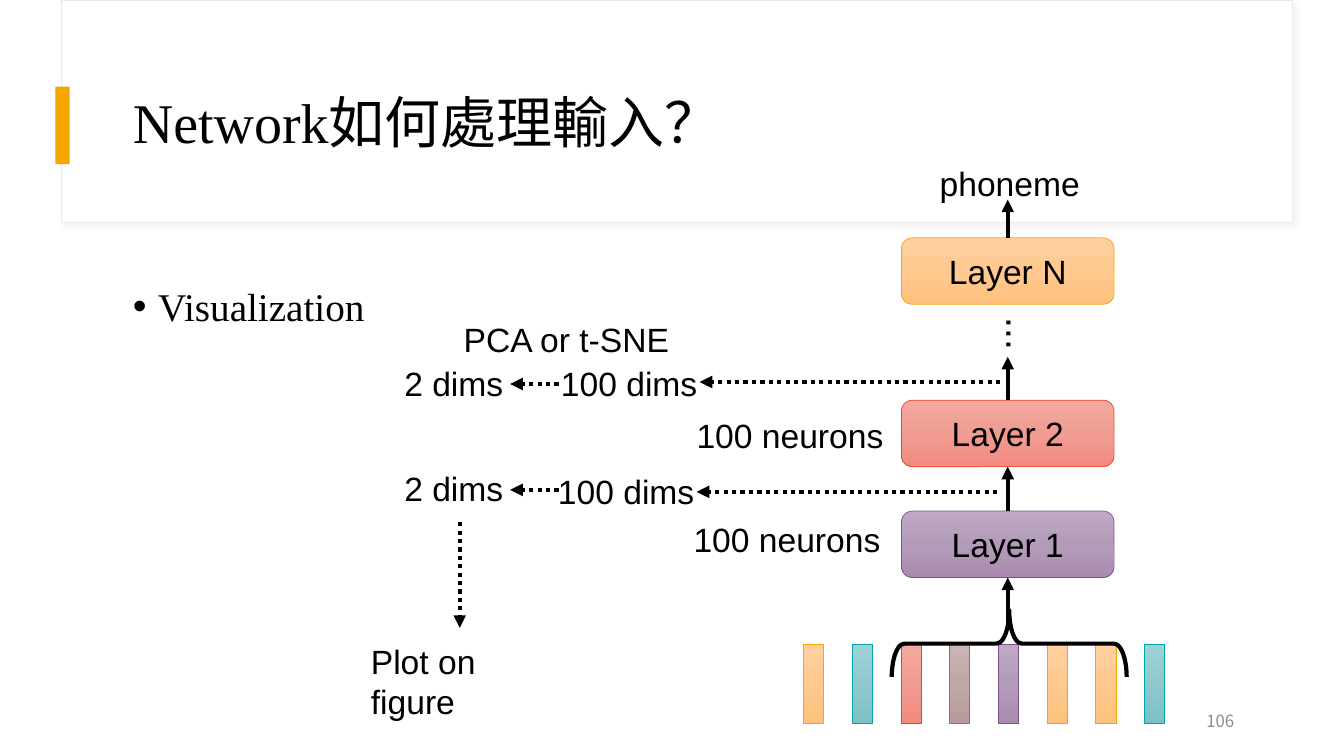
from copy import deepcopy

from lxml import etree
from pptx import Presentation
from pptx.dml.color import RGBColor
from pptx.enum.dml import MSO_LINE
from pptx.enum.shapes import MSO_CONNECTOR, MSO_SHAPE
from pptx.enum.text import MSO_ANCHOR, MSO_AUTO_SIZE, PP_ALIGN
from pptx.oxml.ns import qn
from pptx.util import Inches, Pt

RECT = MSO_SHAPE.RECTANGLE
ROUNDED = MSO_SHAPE.ROUNDED_RECTANGLE
BRACE = MSO_SHAPE.RIGHT_BRACE
STRAIGHT = MSO_CONNECTOR.STRAIGHT
DOTTED = MSO_LINE.ROUND_DOT
LEFT, CENTER, RIGHT = PP_ALIGN.LEFT, PP_ALIGN.CENTER, PP_ALIGN.RIGHT
TOP, MIDDLE = MSO_ANCHOR.TOP, MSO_ANCHOR.MIDDLE
SIDE_TOP, SIDE_BOTTOM = 0, 2

SANS, SERIF, CJK = "Arial", "Times New Roman", "Noto Sans CJK TC"
COLORS = {"white": "FFFFFF", "black": "000000", "frame": "E9E9E9",
          "shadow": "D9D9D9", "accent": "F5A700", "number": "8C8C8C"}
# Three gradient stops from top to bottom, then the outline
PALETTE = {
    "orange": ("FFD09E", "FFC990", "FFC17C", "F5A700"),
    "teal": ("9DD2D5", "90C8CC", "7CC0C5", "00A5AB"),
    "red": ("F3A9A1", "F09C93", "F3897F", "E64823"),
    "brown": ("CAB4B4", "C1A8A8", "B99A9A", "9C6A6A"),
    "purple": ("BEA8C4", "B39CB9", "A98BB0", "824F8C"),
}


def rgb(value):
    return RGBColor.from_string(value)


def write(tf, text, size=24, font=SANS, color="black", align=LEFT,
          anchor=TOP, spacing=None, bullet=None):
    tf.word_wrap = True
    tf.vertical_anchor = anchor
    p = tf.paragraphs[0]
    p.alignment = align
    if spacing:
        p.line_spacing = spacing
    if bullet:
        ppr = p._p.get_or_add_pPr()
        ppr.set("marL", str(Inches(0.25)))
        ppr.set("indent", str(-Inches(0.25)))
        etree.SubElement(ppr, qn("a:buFont")).set("typeface", SANS)
        etree.SubElement(ppr, qn("a:buChar")).set("char", bullet)
    r = p.add_run()
    r.text = text
    r.font.size = Pt(size)
    r.font.name = font
    r.font.color.rgb = rgb(COLORS[color])
    etree.SubElement(r._r.get_or_add_rPr(), qn("a:ea")).set("typeface", CJK)


def add_text(s, text, x, y, w, h=0.5, grow=True, **fmt):
    box = s.shapes.add_textbox(Inches(x), Inches(y), Inches(w), Inches(h))
    write(box.text_frame, text, **fmt)
    if grow:
        box.text_frame.auto_size = MSO_AUTO_SIZE.SHAPE_TO_FIT_TEXT
    return box


def add_shape(s, kind, x, y, w, h, fill=None, line=None, width=0.75):
    sp = s.shapes.add_shape(kind, Inches(x), Inches(y), Inches(w), Inches(h))
    sp.shadow.inherit = False
    if fill:
        sp.fill.solid()
        sp.fill.fore_color.rgb = rgb(fill)
    else:
        sp.fill.background()
    if line:
        sp.line.color.rgb = rgb(line)
        sp.line.width = Pt(width)
    else:
        sp.line.fill.background()
    return sp


def add_block(s, kind, x, y, w, h, hue):
    """Shape with a vertical three-stop gradient."""
    *stops, outline = PALETTE[hue]
    sp = add_shape(s, kind, x, y, w, h, line=outline, width=0.5)
    sp.fill.gradient()
    sp.fill.gradient_angle = 270
    first = sp._element.spPr.find(".//" + qn("a:gs"))
    first.addnext(deepcopy(first))
    for i, (stop, value) in enumerate(zip(sp.fill.gradient_stops, stops)):
        stop.position = i / 2
        stop.color.rgb = rgb(value)
    return sp


def add_arrow(s, x1, y1, x2, y2, dash=None):
    c = s.shapes.add_connector(STRAIGHT, Inches(x1), Inches(y1),
                               Inches(x2), Inches(y2))
    c.line.color.rgb = rgb(COLORS["black"])
    c.line.width = Pt(3)
    if dash:
        c.line.dash_style = dash
    etree.SubElement(c.line._get_or_add_ln(), qn("a:tailEnd")).set("type", "triangle")
    etree.SubElement(c._element.spPr, qn("a:effectLst"))
    return c


def add_header(s, x, y, w, h):
    frame = add_shape(s, RECT, x, y, w, h, COLORS["white"], COLORS["frame"])
    effects = frame._element.spPr.find(qn("a:effectLst"))
    shadow = etree.SubElement(effects, qn("a:outerShdw"), blurRad=str(Pt(4)),
                              dist=str(Pt(3)), dir="2700000", rotWithShape="0")
    tint = etree.SubElement(shadow, qn("a:srgbClr"), val=COLORS["shadow"])
    etree.SubElement(tint, qn("a:alpha"), val="30000")
    add_shape(s, RECT, x - 0.06, y + 0.86, 0.14, 0.77, COLORS["accent"])
    add_text(s, "Network如何處理輸入？", x + 0.61, y + 0.6, 11.12, 1.29, grow=False,
             size=40, font=SERIF, anchor=MIDDLE, spacing=0.9)


def add_input_frames(s, x, y, h):
    """Row of input frames with a brace over the middle five."""
    hues = ("orange", "teal", "red", "brown", "purple", "orange", "orange", "teal")
    for i, hue in enumerate(hues):
        add_block(s, RECT, x + i * 0.483, y, 0.2, h, hue)
    brace = add_shape(s, BRACE, x + 1.71, y - 1.17, 0.66, 2.33,
                      line=COLORS["black"], width=3)
    brace.adjustments[0] = 0.189
    brace.adjustments[1] = 0.5
    brace.rotation = 270


def add_network(s, x, y, w):
    """Layers from output at the top to input at the bottom."""
    mid = x + w / 2
    add_text(s, "phoneme", mid - 1.26, y, 2.56, align=CENTER)
    dots = add_text(s, "...", mid - 0.35, y + 1.46, 0.98, 0.57, size=28, align=CENTER)
    dots.rotation = 90
    layers = []
    for name, top, hue in (("Layer N", 0.79, "orange"), ("Layer 2", 2.4, "red"),
                           ("Layer 1", 3.5, "purple")):
        sp = add_block(s, ROUNDED, x, y + top, w, 0.66, hue)
        write(sp.text_frame, name, align=CENTER, anchor=MIDDLE)
        layers.append(sp)
    layer_n, layer_2, layer_1 = layers
    for source, target, start, end in ((layer_n, None, 0.79, 0.41),
                                       (layer_2, None, 2.4, 1.97),
                                       (layer_1, layer_2, 3.5, 3.06),
                                       (None, layer_1, 4.67, 4.16)):
        arrow = add_arrow(s, mid, y + start, mid, y + end)
        if source:
            arrow.begin_connect(source, SIDE_TOP)
        if target:
            arrow.end_connect(target, SIDE_BOTTOM)


def add_projection(s, x, y, dims_x, dims_y, arrow_y, short_y, neurons_y):
    """One layer's output reduced from 100 to 2 dims, read right to left."""
    add_text(s, "100 neurons", x + dims_x + 1.63, y + neurons_y, 2.12)
    add_text(s, "100 dims", x + dims_x, y + dims_y, 2.12, align=CENTER)
    add_text(s, "2 dims", x, y, 2.12, align=CENTER)
    add_arrow(s, x + dims_x + 4.74, y + arrow_y, x + dims_x + 1.76, y + arrow_y, DOTTED)
    add_arrow(s, x + 2.1, y + short_y, x + 1.62, y + short_y, DOTTED)


def add_visualization(s, x, y):
    add_text(s, "PCA or t-SNE", x + 1.06, y, 2.41)
    add_projection(s, x, y + 0.44, dims_x=1.74, dims_y=0, arrow_y=0.24,
                   short_y=0.26, neurons_y=0.52)
    add_projection(s, x, y + 1.48, dims_x=1.71, dims_y=0.03, arrow_y=0.29,
                   short_y=0.27, neurons_y=0.51)
    add_arrow(s, x + 1.12, y + 2.07, x + 1.12, y + 3.12, DOTTED)
    add_text(s, "Plot on figure", x + 0.14, y + 3.2, 2.12)


def main():
    prs = Presentation()
    prs.slide_width, prs.slide_height = Inches(13.33), Inches(7.5)
    s = prs.slides.add_slide(prs.slide_layouts[6])
    add_header(s, 0.61, 0, 12.21, 2.21)
    add_text(s, "106", 9.34, 6.95, 3, 0.4, grow=False, size=12, font=CJK,
             color="number", align=RIGHT, anchor=MIDDLE)
    add_text(s, "Visualization", 1.22, 2.71, 11.12, 4.64, grow=False, size=28,
             font=SERIF, spacing=1.1, bullet="•")
    add_input_frames(s, 7.97, 6.39, 0.79)
    add_network(s, 8.94, 1.57, 2.11)
    add_visualization(s, 3.44, 3.11)
    prs.save("out.pptx")


if __name__ == "__main__":
    main()
